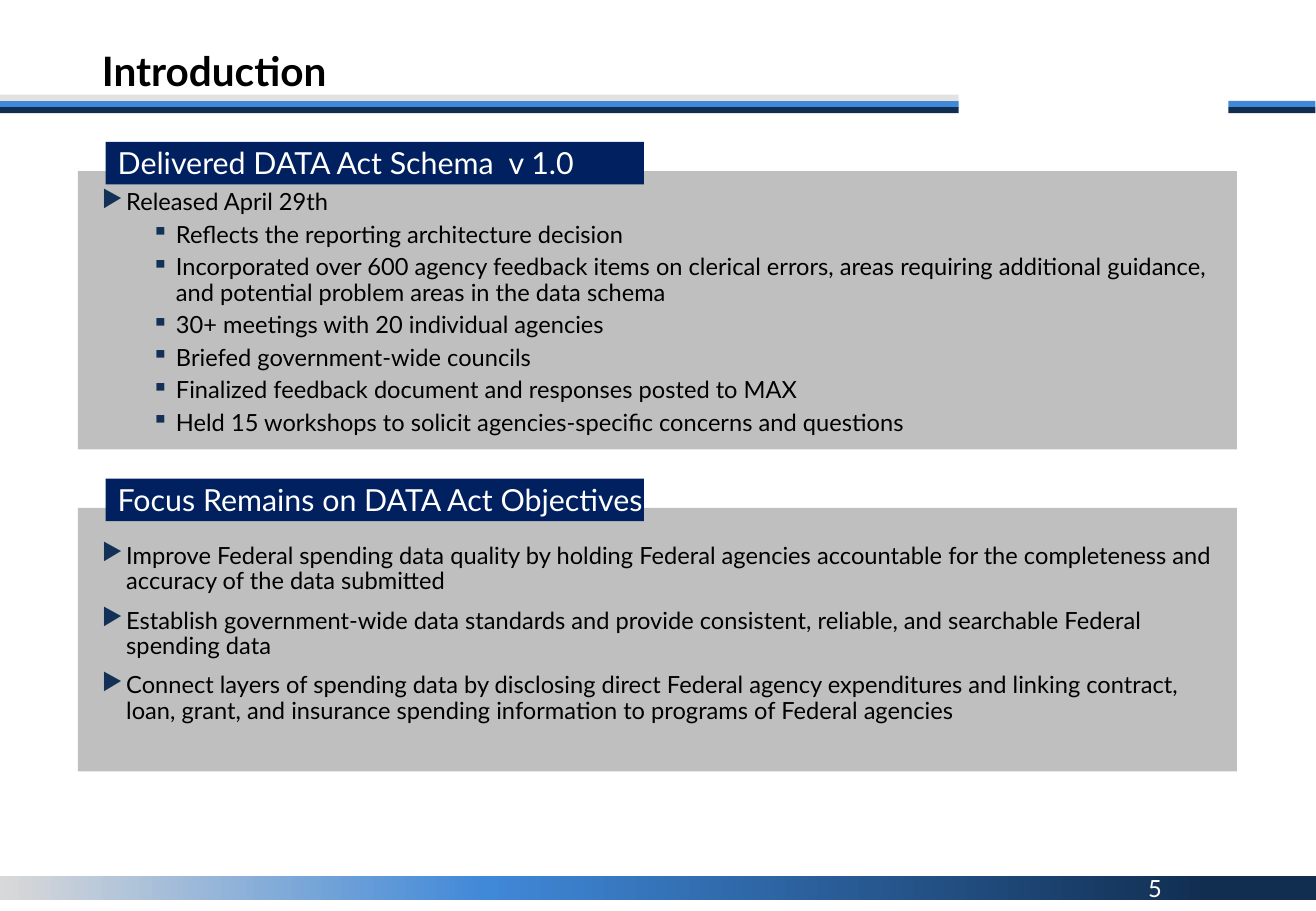
"""Build the introduction slide on the DATA Act schema."""
import copy
import pptx
import pptx.util
import pptx.dml.color
import pptx.enum.shapes
import pptx.enum.text
import pptx.oxml.ns
from lxml import etree

Cm, Pt = pptx.util.Cm, pptx.util.Pt
ANCHOR = pptx.enum.text.MSO_ANCHOR
FONT = "Lato"
WHITE, BLACK, NAVY, GREY = "FFFFFF", "000000", "002060", "BFBFBF"
BULLET = "133156"

TITLE = "Introduction"
PAGE = "5"
FADE = [(0, "D9D9D9"), (0.37, "4088D8"), (0.92, "112E51")]
STRIPES = [(2.11, 27.53, "4088D8"), (1.98, 21, "E4E2E0"), (2.24, 27.53, "112E51")]
MASKS = [(20.09, 1.5, 1.14), (20.04, 1.65, 1.32)]
PANELS = [
    {"top": 3.58, "height": 5.82, "start": 3.86, "deep": 4.93, "wide": 11.25,
     "head": "Delivered DATA Act Schema  v 1.0",
     "items": [
         (0, "Released April 29th"),
         (1, "Reflects the reporting architecture decision"),
         (1, "Incorporated over 600 agency feedback items on clerical errors, areas "
             "requiring additional guidance, and potential problem areas in the data schema"),
         (1, "30+ meetings with 20 individual agencies"),
         (1, "Briefed government-wide councils"),
         (1, "Finalized feedback document and responses posted to MAX"),
         (1, "Held 15 workshops to solicit agencies-specific concerns and questions"),
     ]},
    {"top": 10.62, "height": 5.51, "start": 11.25, "deep": 4.24, "wide": 14.07,
     "head": "Focus Remains on DATA Act Objectives",
     "items": [
         (0, "Improve Federal spending data quality by holding Federal agencies "
             "accountable for the completeness and accuracy of the data submitted"),
         (0, "Establish government-wide data standards and provide consistent, "
             "reliable, and searchable Federal spending data"),
         (0, "Connect layers of spending data by disclosing direct Federal agency "
             "expenditures and linking contract, loan, grant, and insurance spending "
             "information to programs of Federal agencies"),
     ]},
]
LEVELS = [("▶", 0.51, 8.1), ("▪", 1.55, 4.1)]
HANG = 0.51

deck = pptx.Presentation()
deck.slide_width, deck.slide_height = Cm(27.51), Cm(19.05)
slide = deck.slides.add_slide(deck.slide_layouts[6])


def paint(hue):
    return pptx.dml.color.RGBColor.from_string(hue)


def block(left, top, width, height, hue):
    shape = slide.shapes.add_shape(pptx.enum.shapes.MSO_SHAPE.RECTANGLE,
                                   Cm(left), Cm(top), Cm(width), Cm(height))
    shape.shadow.inherit = False
    shape.fill.solid()
    shape.fill.fore_color.rgb = paint(hue)
    shape.line.fill.background()
    return shape


def fade(shape, stops):
    shape.fill.gradient()
    shape.fill.gradient_angle = 0
    first = shape._element.spPr.find(".//" + pptx.oxml.ns.qn("a:gs"))
    first.addnext(copy.deepcopy(first))
    for stop, (place, hue) in zip(shape.fill.gradient_stops, stops):
        stop.position = place
        stop.color.rgb = paint(hue)


def write(left, top, width, height, lines, size, hue, bold=False, anchor=ANCHOR.TOP):
    frame = slide.shapes.add_textbox(Cm(left), Cm(top), Cm(width), Cm(height)).text_frame
    frame.word_wrap = True
    frame.vertical_anchor = anchor
    frame.text = "\n".join(lines)
    for para in frame.paragraphs:
        para.font.name, para.font.size, para.font.bold = FONT, Pt(size), bold
        para.font.color.rgb = paint(hue)
    return frame.paragraphs


def mark(para, level):
    sign, indent, gap = LEVELS[level]
    para.level = level
    para.line_spacing = 0.9
    para.space_before = Pt(gap)
    props = para._p.get_or_add_pPr()
    props.set("marL", str(Cm(indent)))
    props.set("indent", str(-Cm(HANG)))
    tint = etree.Element(pptx.oxml.ns.qn("a:buClr"))
    etree.SubElement(tint, pptx.oxml.ns.qn("a:srgbClr"), val=BULLET)
    char = etree.Element(pptx.oxml.ns.qn("a:buChar"), char=sign)
    props.find(pptx.oxml.ns.qn("a:spcBef")).addnext(tint)
    tint.addnext(char)


fade(block(0, 18.31, 27.51, 0.51, WHITE), FADE)
for top, width, hue in STRIPES:
    block(-0.03, top, width, 0.13, hue)
for left, top, height in MASKS:
    block(left, top, 5.59, height, WHITE)
write(23.75, 18.14, 1.14, 0.86, [PAGE], 14, WHITE)
title = write(1.88, 1.02, 23.72, 1.04, [TITLE], 24, BLACK, True, ANCHOR.MIDDLE)
title[0].line_spacing = 0.9

for panel in PANELS:
    top = panel["top"]
    block(1.63, top, 24.23, panel["height"], GREY)
    paras = write(1.88, panel["start"], 23.72, panel["deep"],
                  [text for _, text in panel["items"]], 14, BLACK)
    for para, (level, _) in zip(paras, panel["items"]):
        mark(para, level)
    block(2.21, top - 0.61, 11.25, 0.89, NAVY)
    write(2.21, top - 0.69, panel["wide"], 1.02, [panel["head"]], 18, WHITE)

deck.save("out.pptx")
